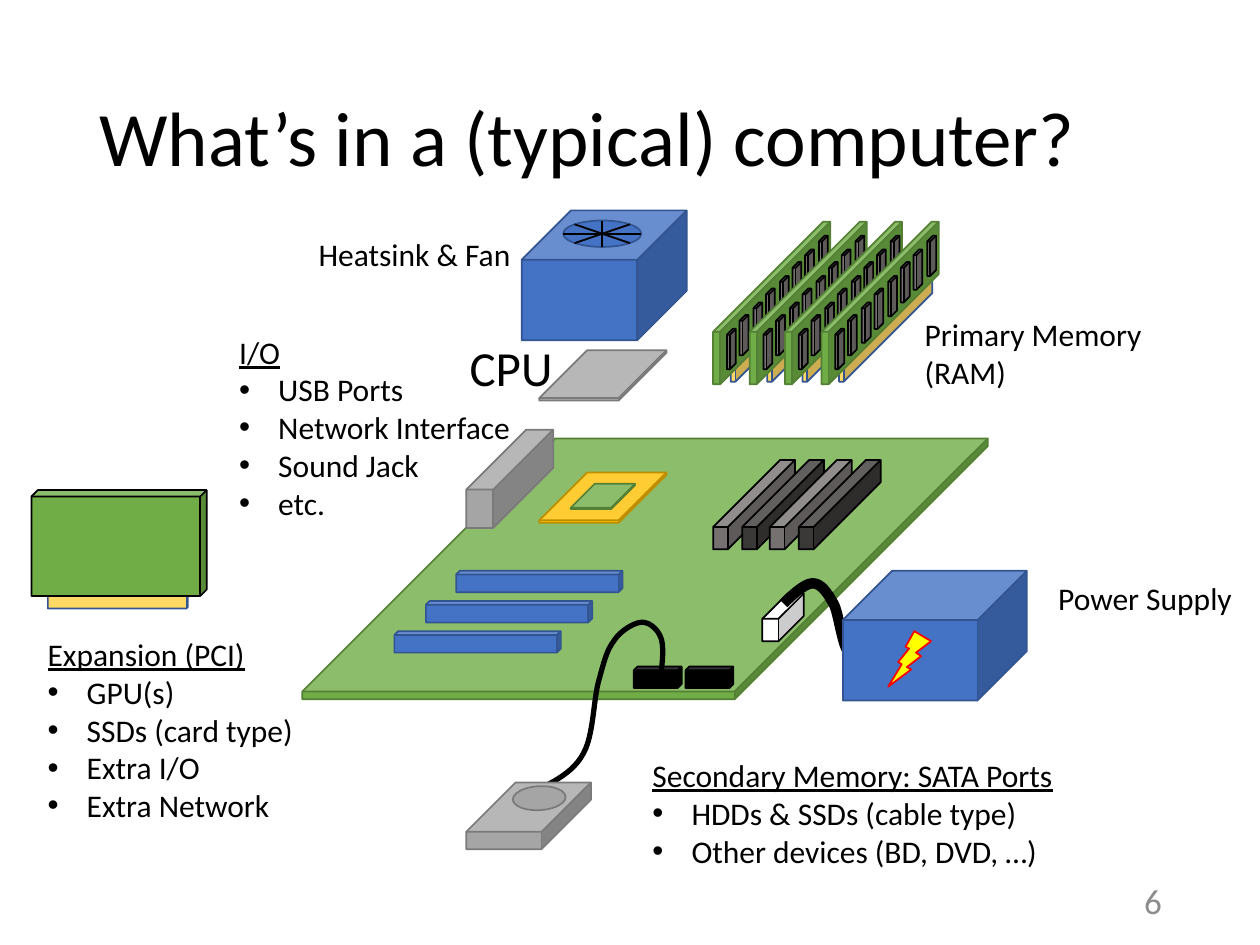
"""Build a slide that shows the parts of a typical computer."""
from dataclasses import dataclass
from typing import Any, Optional

from lxml.etree import SubElement
from pptx import Presentation
from pptx.dml.color import RGBColor
from pptx.enum.shapes import MSO_CONNECTOR, MSO_SHAPE
from pptx.enum.text import MSO_ANCHOR, MSO_AUTO_SIZE, PP_ALIGN
from pptx.oxml.ns import qn
from pptx.util import Pt

PX = 9144
BLACK, WHITE, GREY, GREY_EDGE = "000000", "FFFFFF", "A5A5A5", "7A7A7A"
BLUE, BLUE_EDGE, GREEN, GREEN_EDGE = "4472C4", "325491", "70AD47", "538035"
GOLD, STONE, CHARCOAL = "FFD966", "767171", "3B3838"
CURVE_STEPS = 12


@dataclass(frozen=True)
class Solid:
    """A filled preset shape, a cube unless told otherwise."""
    x: int
    y: int
    width: int
    height: int
    fill: str
    edge: str
    depth: Optional[float] = None
    kind: MSO_SHAPE = MSO_SHAPE.CUBE
    rotation: float = 0
    mirrored: bool = False


@dataclass(frozen=True)
class Label:
    """A text box with an optional underlined heading above bullets."""
    x: int
    y: int
    width: int
    height: int
    lines: tuple[str, ...]
    size: int = 18
    bulleted: bool = False


@dataclass(frozen=True)
class Cable:
    """A thick curve through Bezier control points."""
    width: int
    points: tuple[tuple[int, int], ...]


FAN_BLADES = ((478, 175, 478, 196), (456, 178, 500, 193),
              (456, 193, 500, 178), (447, 186, 509, 186))
POWER_CABLE = Cable(6, (
    (622, 479), (630, 471), (639, 463), (645, 463), (652, 463), (657, 471), (662, 480),
    (666, 489), (668, 510), (673, 517), (679, 525), (686, 525), (694, 524)))
DRIVE_CABLE = Cable(3, (
    (425, 628), (440, 620), (455, 613), (463, 598), (471, 584), (471, 556), (475, 541),
    (479, 527), (481, 517), (487, 509), (492, 501), (502, 495), (508, 494),
    (514, 493), (521, 498), (524, 505), (527, 511), (526, 522), (525, 532)))
LABELS = (
    Label(28, 499, 217, 162, ("Expansion (PCI)", "GPU(s)", "SSDs (card type)",
                              "Extra I/O", "Extra Network"), bulleted=True),
    Label(724, 245, 194, 71, ("Primary Memory", "(RAM)")),
    Label(243, 182, 174, 40, ("Heatsink & Fan",)),
    Label(830, 455, 160, 40, ("Power Supply",)),
    Label(180, 259, 238, 162, ("I/O", "USB Ports", "Network Interface",
                               "Sound Jack", "etc."), bulleted=True),
    Label(508, 595, 341, 101, ("Secondary Memory: SATA Ports", "HDDs & SSDs (cable type)",
                               "Other devices (BD, DVD, …)"), bulleted=True),
    Label(363, 263, 87, 57, ("CPU",), size=28),
)


def color(value: str) -> RGBColor:
    """Turn a hex string into a colour."""
    return RGBColor.from_string(value)


def apply(target: Any, values: dict[str, Any]) -> None:
    """Set each named attribute on the target."""
    for name, value in values.items():
        setattr(target, name, value)


def draw_solid(shapes: Any, solid: Solid) -> None:
    """Draw one filled preset shape."""
    box = (side * PX for side in (solid.x, solid.y, solid.width, solid.height))
    shape = shapes.add_shape(solid.kind, *box)
    shape.shadow.inherit = False
    shape.fill.solid()
    shape.fill.fore_color.rgb = color(solid.fill)
    shape.line.color.rgb = color(solid.edge)
    shape.line.width = Pt(1)
    shape.rotation = solid.rotation
    if solid.depth is not None:
        shape.adjustments[0] = solid.depth
    if solid.mirrored:
        shape.element.spPr.find(qn("a:xfrm")).set("flipH", "1")


def draw_group(shapes: Any, *solids: Solid) -> Any:
    """Draw solids inside one group and return the group's shapes."""
    members = shapes.add_group_shape().shapes
    for solid in solids:
        draw_solid(members, solid)
    return members


def draw_blade(shapes: Any, ends: tuple[int, ...]) -> None:
    """Draw one straight line of the fan."""
    blade = shapes.add_connector(MSO_CONNECTOR.STRAIGHT, *(end * PX for end in ends))
    blade.line.color.rgb = color(BLACK)
    blade.line.width = Pt(1)
    SubElement(blade.element.spPr, qn("a:effectLst"))


def curve_point(controls: tuple[tuple[int, int], ...], t: float) -> tuple[int, int]:
    """Return the point at t on a cubic Bezier curve, in EMU."""
    weights = ((1 - t) ** 3, 3 * t * (1 - t) ** 2, 3 * t * t * (1 - t), t ** 3)
    x, y = (sum(w * p[axis] for w, p in zip(weights, controls)) for axis in (0, 1))
    return round(x * PX), round(y * PX)


def draw_cable(shapes: Any, cable: Cable) -> None:
    """Draw a cable as an open freeform."""
    start_x, start_y = cable.points[0]
    builder = shapes.build_freeform(start_x * PX, start_y * PX)
    builder.add_line_segments(
        [curve_point(cable.points[first:first + 4], step / CURVE_STEPS)
         for first in range(0, len(cable.points) - 1, 3)
         for step in range(1, CURVE_STEPS + 1)], close=False)
    shape = builder.convert_to_shape()
    shape.shadow.inherit = False
    shape.fill.background()
    shape.line.color.rgb = color(BLACK)
    shape.line.width = Pt(cable.width)


def draw_memory_module(shapes: Any, x: int) -> None:
    """Draw one RAM stick with its row of chips."""
    chips = (Solid(x + 11 + round(10.4 * i), 261 - round(10.55 * i), 7, 32, STONE, BLACK, 0.66)
             for i in range(8))
    draw_group(shapes, Solid(x + 14, 216, 74, 87, GOLD, BLUE_EDGE, 0.95),
               Solid(x, 176, 93, 129, GREEN, GREEN_EDGE, 0.94), *chips)


def draw_label(shapes: Any, label: Label, text_color: str = BLACK, **frame_format: Any) -> Any:
    """Draw a text box and return its paragraphs."""
    box = (side * PX for side in (label.x, label.y, label.width, label.height))
    frame = shapes.add_textbox(*box).text_frame
    apply(frame, {"word_wrap": False, "auto_size": MSO_AUTO_SIZE.SHAPE_TO_FIT_TEXT} | frame_format)
    for index, line in enumerate(label.lines):
        paragraph = frame.paragraphs[0] if index == 0 else frame.add_paragraph()
        run = paragraph.add_run()
        run.text = line
        run.font.color.rgb = color(text_color)
        apply(run.font, {"name": "Calibri", "size": Pt(label.size),
                         "underline": label.bulleted and index == 0})
        if label.bulleted and index > 0:
            properties = paragraph._p.get_or_add_pPr()
            properties.set("marL", str(31 * PX))
            properties.set("indent", str(-31 * PX))
            SubElement(properties, qn("a:buFont")).set("typeface", "Arial")
            SubElement(properties, qn("a:buChar")).set("char", "•")
    return frame.paragraphs


def draw_hardware(shapes: Any) -> None:
    """Draw the board and everything that plugs into it."""
    draw_solid(shapes, Solid(240, 348, 544, 207, GREEN, GREEN_EDGE, 0.97))
    draw_solid(shapes, Solid(370, 341, 69, 78, GREY, GREY_EDGE, 0.69))
    for i in range(3):
        draw_solid(shapes, Solid(362 - round(24.5 * i), 453 + 24 * i, 132, 17,
                                 BLUE, BLUE_EDGE, 0.18))
    fan = draw_group(shapes, Solid(414, 167, 131, 103, BLUE, BLUE_EDGE, 0.38),
                     Solid(447, 175, 62, 21, BLUE, BLUE_EDGE,
                           kind=MSO_SHAPE.FLOWCHART_SUMMING_JUNCTION))
    for blade in FAN_BLADES:
        draw_blade(fan, blade)
    for i in range(4):
        draw_solid(shapes, Solid(566 + round(22.6 * i), 365, 65, 71,
                                 (STONE, CHARCOAL)[i % 2], BLACK, 0.82))
    draw_group(shapes, Solid(38, 467, 111, 16, GOLD, BLUE_EDGE, 0.06),
               Solid(25, 389, 139, 84, GREEN, BLACK, 0.06))
    draw_solid(shapes, Solid(428, 278, 101, 40, GREY, GREY_EDGE, 0.95))
    draw_group(shapes, Solid(428, 375, 101, 40, "FFC000", "BD8E00", 0.95),
               Solid(453, 384, 51, 20, GREEN, GREEN_EDGE, 0.95))
    for i in range(4):
        draw_memory_module(shapes, 566 + round(28.6 * i))
    for x in (544, 503):
        draw_solid(shapes, Solid(x, 529, 38, 17, BLACK, BLACK, 0.18))
    draw_solid(shapes, Solid(605, 471, 33, 38, WHITE, BLACK, 0.61))
    draw_cable(shapes, POWER_CABLE)
    draw_group(shapes, Solid(669, 453, 146, 103, BLUE, BLUE_EDGE, 0.38),
               Solid(705, 501, 34, 44, "FFFF00", "FF0000",
                     kind=MSO_SHAPE.LIGHTNING_BOLT, mirrored=True))
    draw_cable(shapes, DRIVE_CABLE)
    draw_group(shapes, Solid(370, 621, 99, 53, GREY, GREY_EDGE, 0.74),
               Solid(407, 624, 42, 19, GREY, GREY_EDGE, kind=MSO_SHAPE.OVAL, rotation=356.8))


def main() -> None:
    """Build and save the presentation."""
    presentation = Presentation()
    apply(presentation, {"slide_width": 1000 * PX, "slide_height": 750 * PX})
    shapes = presentation.slides.add_slide(presentation.slide_layouts[6]).shapes
    fixed = {"word_wrap": True, "auto_size": MSO_AUTO_SIZE.NONE,
             "vertical_anchor": MSO_ANCHOR.MIDDLE}
    draw_hardware(shapes)
    title = Label(69, 40, 862, 145, ("What’s in a (typical) computer?",), size=44)
    draw_label(shapes, title, **fixed)[0].line_spacing = 0.9
    for label in LABELS:
        draw_label(shapes, label)
    number = Label(865, 695, 67, 40, ("6",), size=20)
    draw_label(shapes, number, "8C8C8C", **fixed)[0].alignment = PP_ALIGN.RIGHT
    presentation.save("out.pptx")


if __name__ == "__main__":
    main()
